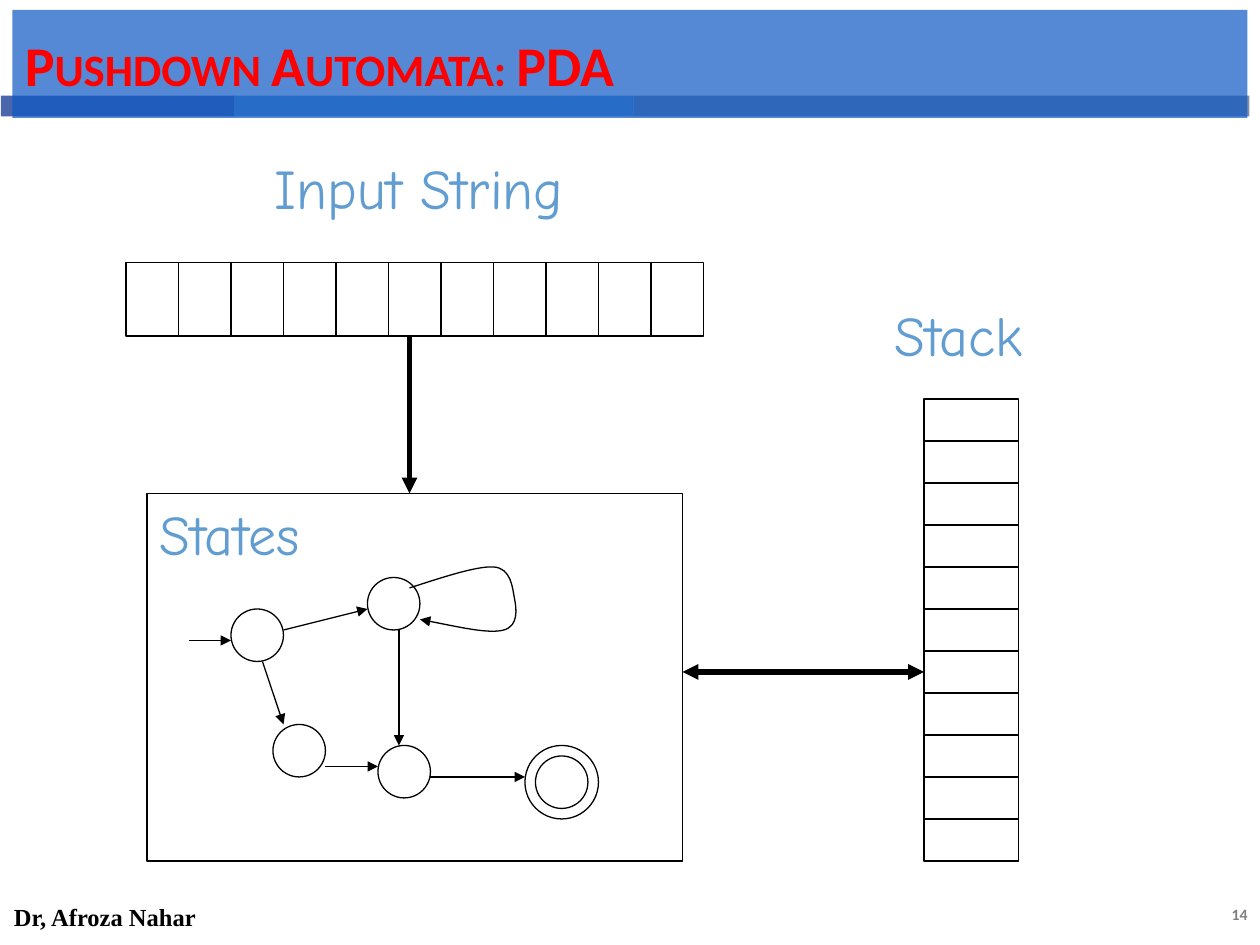
from lxml.etree import SubElement
from pptx import Presentation
from pptx.dml.color import RGBColor
from pptx.enum.shapes import MSO_CONNECTOR as CONN, MSO_SHAPE as SHAPE
from pptx.enum.text import MSO_ANCHOR as ANCHOR, PP_ALIGN as ALIGN
from pptx.oxml.ns import qn
from pptx.util import Cm, Pt

COLORS = {
    "line": "000000", "label": "629DD1", "title": "FF0000", "banner": "0E58C4",
    "strip_left": "4A66AC", "strip_mid": "629DD1", "strip_right": "7F8FA9",
    "number": "808080",
}
GRID = 2.54 / 12  # the diagram sits on a grid of twelve steps to the inch


def grid(n):
    return Cm(n * GRID)


def color(name):
    return RGBColor.from_string(COLORS[name])


def add_box(s, kind, x, y, w, h, fill=None):
    """Add a filled shape without line, or an outlined one without fill."""
    sp = s.shapes.add_shape(kind, x, y, w, h)
    sp.shadow.inherit = False
    if fill:
        sp.fill.solid()
        sp.fill.fore_color.rgb = color(fill)
        sp.line.fill.background()
    else:
        sp.fill.background()
        sp.line.color.rgb = color("line")
        sp.line.width = Pt(0.75)
    return sp


def add_heads(shape, *ends):
    ln = shape.line._get_or_add_ln()
    for end in ends:
        SubElement(ln, qn(f"a:{end}"), type="triangle")


def add_line(s, x1, y1, x2, y2, width=0.75, heads=()):
    """Draw a straight line between two grid points."""
    c = s.shapes.add_connector(CONN.STRAIGHT, grid(x1), grid(y1), grid(x2), grid(y2))
    c.line.color.rgb = color("line")
    c.line.width = Pt(width)
    add_heads(c, *heads)
    SubElement(c._element.spPr, qn("a:effectLst"))


def write(sp, text, font, size, fill, bold=False, wrap=True,
          anchor=ANCHOR.TOP, align=ALIGN.LEFT, before=0):
    tf = sp.text_frame
    tf.word_wrap = wrap
    tf.vertical_anchor = anchor
    p = tf.paragraphs[0]
    p.alignment = align
    p.space_before = Pt(before)
    r = p.add_run()
    r.text = text
    p.font.name = font
    p.font.size = Pt(size)
    p.font.bold = bold
    p.font.color.rgb = color(fill)
    return r


def add_label(s, text, x, y, w):
    sp = s.shapes.add_textbox(grid(x), grid(y), grid(w), Cm(1.83))
    write(sp, text, "Comic Neue", 32, "label", wrap=False, before=6.4)


def add_banner(s, x, y, w, h):
    """Title bar, see-through over a strip of three colours."""
    left = x - 0.23
    for width, fill in ((4.7, "strip_left"), (8.05, "strip_mid"), (12.42, "strip_right")):
        add_box(s, SHAPE.RECTANGLE, Cm(left), Cm(y + 1.73), Cm(width), Cm(0.42), fill)
        left += width
    sp = add_box(s, SHAPE.RECTANGLE, Cm(x), Cm(y), Cm(w), Cm(h), "banner")
    rgb = sp._element.spPr.find(qn("a:solidFill"))[0]
    SubElement(rgb, qn("a:alpha"), val="70000")
    r = write(sp, "Pushdown Automata: PDA", "Calibri", 32, "title", bold=True,
              anchor=ANCHOR.MIDDLE, before=6)
    r.font._element.set("cap", "small")


def add_tape(s, x, y, w, h, cells, vertical=False):
    """A box divided into equal cells."""
    add_box(s, SHAPE.RECTANGLE, grid(x), grid(y), grid(w), grid(h))
    for i in range(1, cells):
        if vertical:
            cy = y + h * i / cells
            add_line(s, x, cy, x + w, cy)
        else:
            cx = x + w * i / cells
            add_line(s, cx, y, cx, y + h)


def add_loop(s, x, y):
    """Self-transition: a start point and three cubic curves."""
    start = (25, 9)
    controls = [
        (28.1, 8), (31.4, 6.9), (33, 7),
        (34.7, 7.1), (34.8, 9), (35, 10),
        (35.2, 11), (35.4, 12.6), (34, 13),
        (32.6, 13.4), (29.2, 12.6), (26, 12),
    ]
    points = [(grid(x + px), grid(y + py)) for px, py in [start] + controls]
    builder = s.shapes.build_freeform(*points[0])
    builder.add_line_segments(points[1:], close=False)
    sp = builder.convert_to_shape()
    path_xml = next(sp._element.iter(qn("a:path")))
    segments = path_xml.findall(qn("a:lnTo"))
    for i in range(0, len(segments), 3):
        curve = SubElement(path_xml, qn("a:cubicBezTo"))
        for segment in segments[i:i + 3]:
            curve.append(segment[0])
            path_xml.remove(segment)
    sp.shadow.inherit = False
    sp.fill.background()
    sp.line.color.rgb = color("line")
    sp.line.width = Pt(0.75)
    add_heads(sp, "tailEnd")


def add_states(s, x, y, w, h):
    """State diagram in its frame."""
    add_box(s, SHAPE.RECTANGLE, grid(x), grid(y), grid(w), grid(h))
    circles = [(8, 11, 5), (21, 8, 5), (12, 22, 5), (22, 24, 5), (37, 25, 5), (36, 24, 7)]
    for cx, cy, size in circles:
        add_box(s, SHAPE.OVAL, grid(x + cx), grid(y + cy), grid(size), grid(size))
    transitions = [
        (4, 14, 8, 14), (13, 13, 21, 11), (11, 16, 13, 22),
        (24, 13, 24, 24), (17, 26, 22, 26), (27, 27, 36, 27),
    ]
    for x1, y1, x2, y2 in transitions:
        add_line(s, x + x1, y + y1, x + x2, y + y2, heads=["tailEnd"])
    add_loop(s, x, y)
    add_label(s, "States", x, y, 19.4)


def add_footer(s, x, y, w, h):
    author = s.shapes.add_textbox(Cm(x), Cm(y), Cm(17), Cm(h))
    write(author, "Dr, Afroza Nahar", "Times New Roman", 14, "line", bold=True,
          anchor=ANCHOR.MIDDLE)
    number_w = 3.23
    number = s.shapes.add_textbox(Cm(x + w - number_w), Cm(y + 0.15), Cm(number_w), Cm(0.64))
    write(number, "14", "Calibri", 9, "number", bold=True, align=ALIGN.RIGHT)


def main():
    prs = Presentation()
    prs.slide_width, prs.slide_height = Cm(25.4), Cm(19.05)
    s = prs.slides.add_slide(prs.slide_layouts[6])
    add_banner(s, 0.25, 0.2, 24.9, 2.18)
    add_label(s, "Input String", 25, 14, 33.8)
    add_tape(s, 12, 25, 55, 7, cells=11)
    add_label(s, "Stack", 84, 28, 17)
    add_tape(s, 88, 38, 9, 44, cells=11, vertical=True)
    add_states(s, 14, 47, 51, 35)
    add_line(s, 39, 32, 39, 47, width=3, heads=["tailEnd"])
    add_line(s, 88, 64, 65, 64, width=3, heads=["headEnd", "tailEnd"])
    add_footer(s, 0.03, 17.96, 25.37, 1.02)
    prs.save("out.pptx")


if __name__ == "__main__":
    main()
